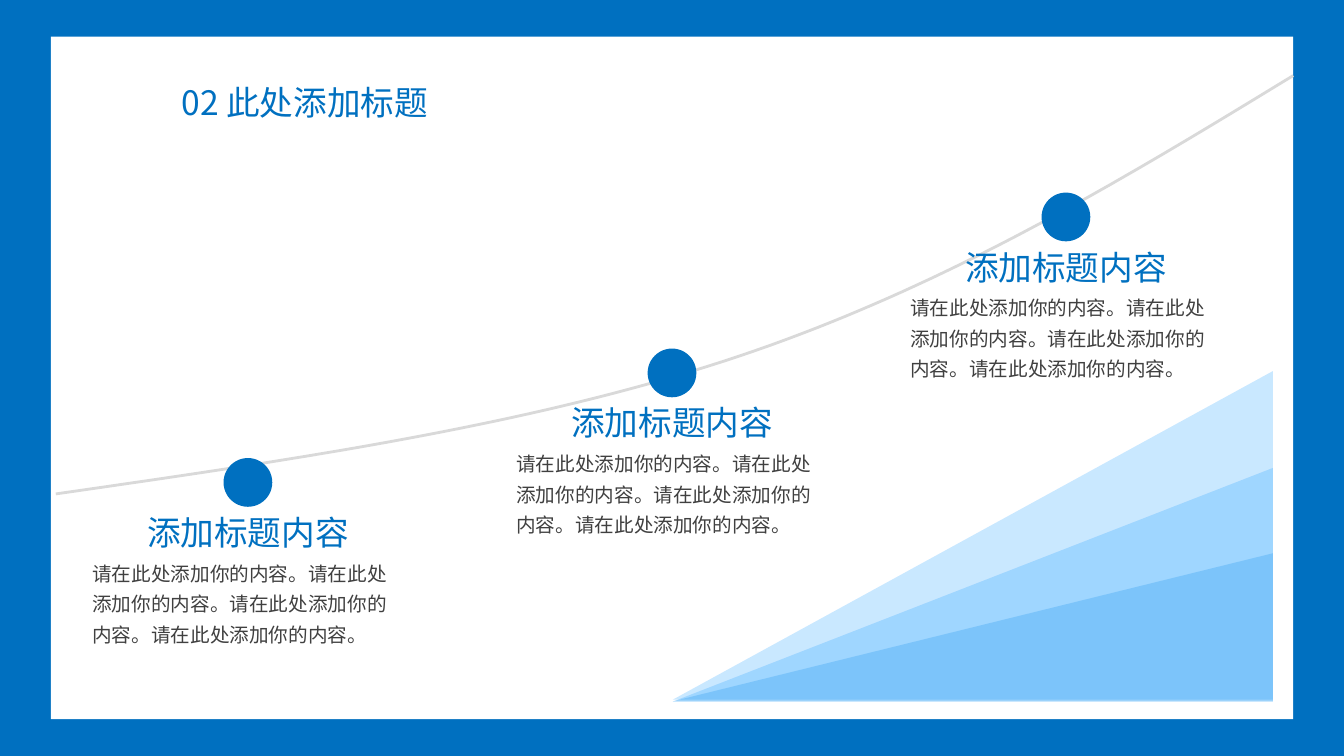
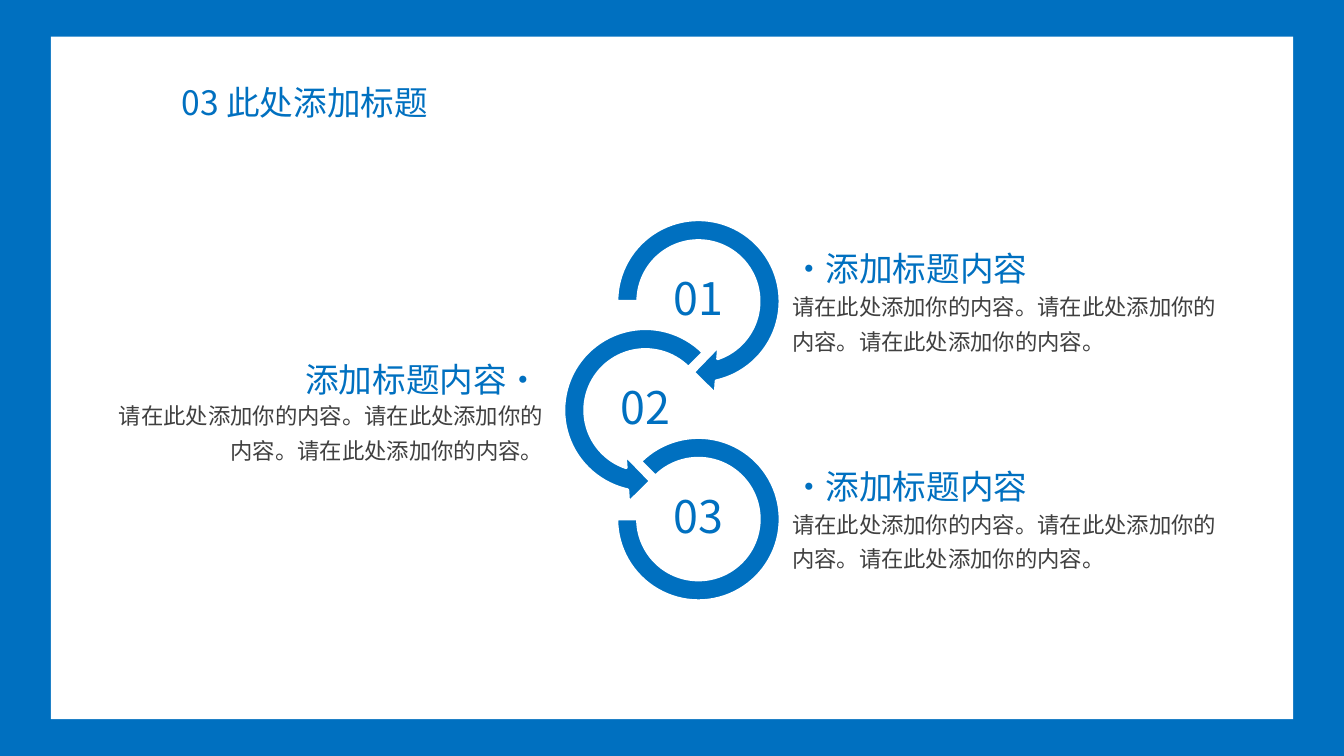
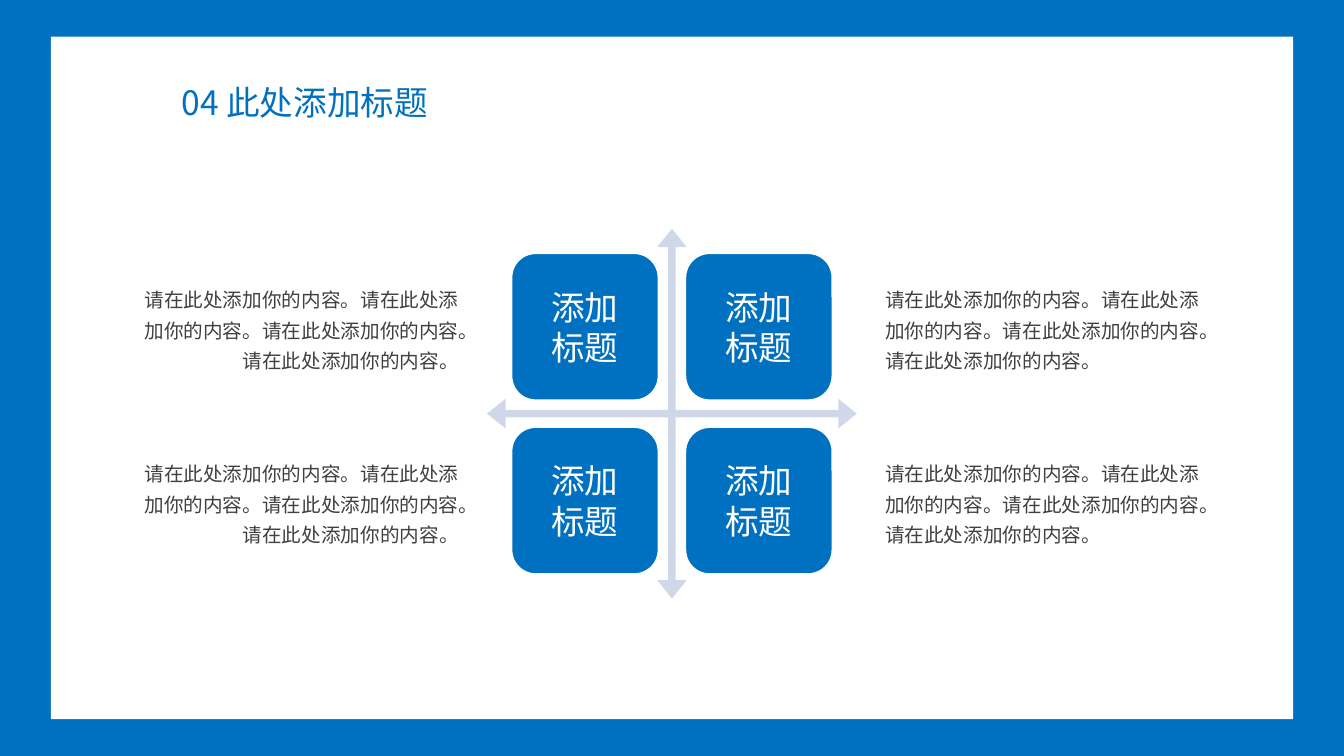
from dataclasses import dataclass

from lxml.etree import SubElement
from pptx import Presentation
from pptx.dml.color import RGBColor as Rgb
from pptx.enum.shapes import MSO_SHAPE as Kind
from pptx.enum.text import MSO_ANCHOR as Anchor, MSO_AUTO_SIZE as Auto, PP_ALIGN as Align
from pptx.oxml.ns import qn
from pptx.util import Pt


@dataclass(frozen=True)
class Theme:
    font: str = "Noto Sans CJK SC"
    blue: str = "0070C0"
    white: str = "FFFFFF"
    dark: str = "404040"
    grey: str = "D9D9D9"
    pale: str = "D0D8E8"
    sky: str = "0D97FF"
    deep: str = "0086EA"
    head: float = 24
    digit: float = 32
    body: float = 16
    small: float = 14
    wide: float = 960
    high: float = 540


LOOK = Theme()
HEAD = "添加标题内容"
BODY = "请在此处添加你的内容。"
PAD = (7.2, 3.6)
NONE = (0, 0)


def apply(item, form):
    for key, value in form.items():
        setattr(item, key, value)


def write(frame, lines, size, color, align=Align.LEFT, lead=1.0, pad=PAD, anchor=Anchor.TOP):
    """Fill a text frame, one paragraph for each line."""
    side, edge = map(Pt, pad)
    apply(frame, dict(word_wrap=True, auto_size=Auto.NONE, vertical_anchor=anchor,
                      margin_left=side, margin_right=side,
                      margin_top=edge, margin_bottom=edge))
    for index, line in enumerate(lines):
        para = frame.add_paragraph() if index else frame.paragraphs[0]
        apply(para, dict(alignment=align, line_spacing=lead))
        run = para.add_run()
        run.text = line
        apply(run.font, dict(name=LOOK.font, size=Pt(size)))
        run.font.color.rgb = Rgb.from_string(color)
        SubElement(run._r.get_or_add_rPr(), qn("a:ea"), typeface=LOOK.font)


def label(slide, box, text, size, color, **form):
    frame = slide.shapes.add_textbox(*map(Pt, box)).text_frame
    write(frame, [text], size, color, **form)


def paint(shape, fill=None, line=None, width=2):
    shape.shadow.inherit = False
    if fill:
        shape.fill.solid()
        shape.fill.fore_color.rgb = Rgb.from_string(fill)
    else:
        shape.fill.background()
    if line:
        shape.line.color.rgb = Rgb.from_string(line)
        shape.line.width = Pt(width)
    else:
        shape.line.fill.background()


def draw(slide, kind, box, fill, line=None, tune=()):
    """Add a preset shape; tune holds its adjustments."""
    shape = slide.shapes.add_shape(kind, *map(Pt, box))
    for index, value in enumerate(tune):
        shape.adjustments[index] = value
    paint(shape, fill, line)
    return shape


def around(x, y, wide, high):
    """Box centred on a point."""
    return x - wide / 2, y - high / 2, wide, high


def curve(slide, knots, color, count=40):
    """Draw a chain of cubic curves: a start, then three points for each."""
    dots = []
    for first in range(0, len(knots) - 1, 3):
        a, b, c, d = knots[first:first + 4]
        for step in range(1, count + 1):
            t = step / count
            u = 1 - t
            dots.append(tuple(
                Pt(u**3 * p + 3 * u * u * t * q + 3 * u * t * t * r + t**3 * s)
                for p, q, r, s in zip(a, b, c, d)))
    build = slide.shapes.build_freeform(*map(Pt, knots[0]))
    build.add_line_segments(dots, close=False)
    paint(build.convert_to_shape(), line=color)


def wedge(slide, top, high, color):
    """Add a clear triangle that rises to the right."""
    left, right = 480.5, 909.3
    shape = draw(slide, Kind.RIGHT_TRIANGLE, (left, top, right - left, high), color)
    props = shape.element.spPr
    props.xfrm.set("flipH", "1")
    SubElement(props.find(".//" + qn("a:srgbClr")), qn("a:alpha"), val="22000")


def setup(deck):
    """Give the master its ground and the layout its panel and title box."""
    apply(deck, dict(slide_width=Pt(LOOK.wide), slide_height=Pt(LOOK.high)))
    ground = deck.slide_master.background.fill
    ground.solid()
    ground.fore_color.rgb = Rgb.from_string(LOOK.blue)
    layout = deck.slide_layouts.get_by_name("Title Only")
    title, *rest = layout.placeholders
    for spare in rest:
        layout.shapes.element.remove(spare.element)
    apply(title, dict(left=Pt(122.4), top=Pt(54.7), width=Pt(207.4), height=Pt(36)))
    return layout


def add_page(deck, layout, text):
    slide = deck.slides.add_slide(layout)
    write(slide.shapes.title.text_frame, [text], LOOK.head, LOOK.blue)
    return slide


def add_panel(slide, layout):
    """Draw the white panel, then hand it to the layout."""
    side, edge = 36.25, 26.25
    panel = draw(slide, Kind.RECTANGLE,
                 (side, edge, LOOK.wide - 2 * side, LOOK.high - 2 * edge), LOOK.white)
    layout.shapes.element.insert(2, panel.element)


def add_steps(slide):
    curve(slide, [(39.9, 352.8), (210.2, 328.3), (380.9, 303.8), (528.5, 254.2),
                  (676.1, 204.5), (799.9, 129.6), (923.75, 54)], LOOK.grey)
    for x, y in ((177.1, 344.6), (480, 266.4), (761.4, 155)):
        label(slide, (x - 111.2, y + 51.5, 222.5, 64), BODY * 4, LOOK.small, LOOK.dark,
              lead=1.3, pad=NONE)
        label(slide, (x - 96.5, y + 17.5, 193, 36), HEAD, LOOK.head, LOOK.blue,
              align=Align.CENTER)
        draw(slide, Kind.OVAL, around(x, y, 34.8, 34.8), LOOK.blue)
    for top, high, color in ((334.2, 167, LOOK.sky), (265, 234.8, LOOK.sky),
                             (395.2, 105.8, LOOK.deep)):
        wedge(slide, top, high, color)


def add_rings(slide):
    mid, gap = 293, 77.8
    right = (558.7, 558.7, "·" + HEAD, Align.LEFT)
    left = (200.2, 64.1, HEAD + "·", Align.RIGHT)
    rings = (
        ("01", Kind.CIRCULAR_ARROW, (0.11, 11.42, 45, 108, 0.125), 135.4,
         498.9, mid - gap, 41.8, right),
        ("03", Kind.BLOCK_ARC, (135, 108, 0.127), 116.6,
         498.9, mid + gap, 41.8, right),
        ("02", Kind.LEFT_CIRCULAR_ARROW, (0.11, 11.42, 63, 189, 0.125), 135.4,
         461, mid, 40.3, left),
    )
    for digit, kind, tune, size, x, y, rise, side in rings:
        head, body, text, align = side
        draw(slide, kind, around(x, y, size, size), LOOK.blue, LOOK.white, tune)
        label(slide, around(x, y, 75.6, 37.4), digit, LOOK.digit, LOOK.blue,
              align=Align.CENTER, lead=0.9, pad=(1.4, 1.4), anchor=Anchor.MIDDLE)
        label(slide, (head, y - rise, 193, 36), text, LOOK.head, LOOK.blue, align=align)
        label(slide, (body, y - 15.3, 331.2, 55.4), BODY * 3, LOOK.body, LOOK.dark,
              align=align, lead=1.3)


def add_grid(slide):
    x, y, step, wide = 480, 295.5, 62.1, 235.4
    draw(slide, Kind.QUAD_ARROW, around(x, y, 264.2, 264.2), LOOK.pale,
         tune=(0.02, 0.04, 0.05))
    for side, left, align in ((1, x + 152.2, Align.LEFT),
                              (-1, x - 152.2 - wide, Align.RIGHT)):
        for row in (-1, 1):
            mid = y + row * step
            tile = draw(slide, Kind.ROUNDED_RECTANGLE,
                        around(x + side * step, mid, 105.8, 105.8),
                        LOOK.blue, LOOK.white, (0.167,))
            write(tile.text_frame, ["添加", "标题"], LOOK.head, LOOK.white,
                  align=Align.CENTER, anchor=Anchor.MIDDLE)
            label(slide, (left, mid - 32.7, wide, 64), BODY * 4, LOOK.small, LOOK.dark,
                  align=align, lead=1.3, pad=NONE)


def main():
    deck = Presentation()
    layout = setup(deck)
    for index, fill in enumerate((add_steps, add_rings, add_grid)):
        slide = add_page(deck, layout, f"{index + 2:02d} 此处添加标题")
        if not index:
            add_panel(slide, layout)
        fill(slide)
    deck.save("out.pptx")


if __name__ == "__main__":
    main()
